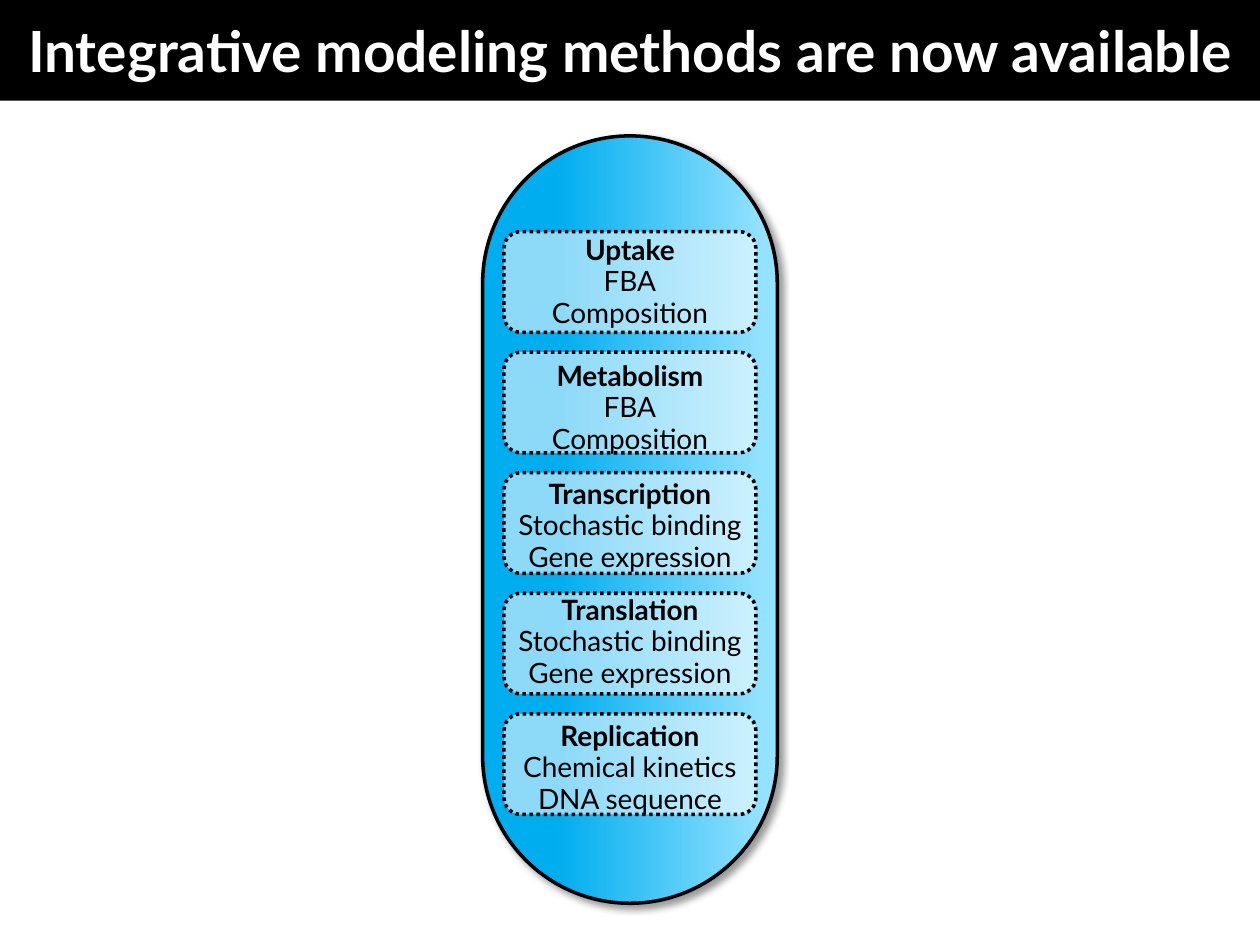
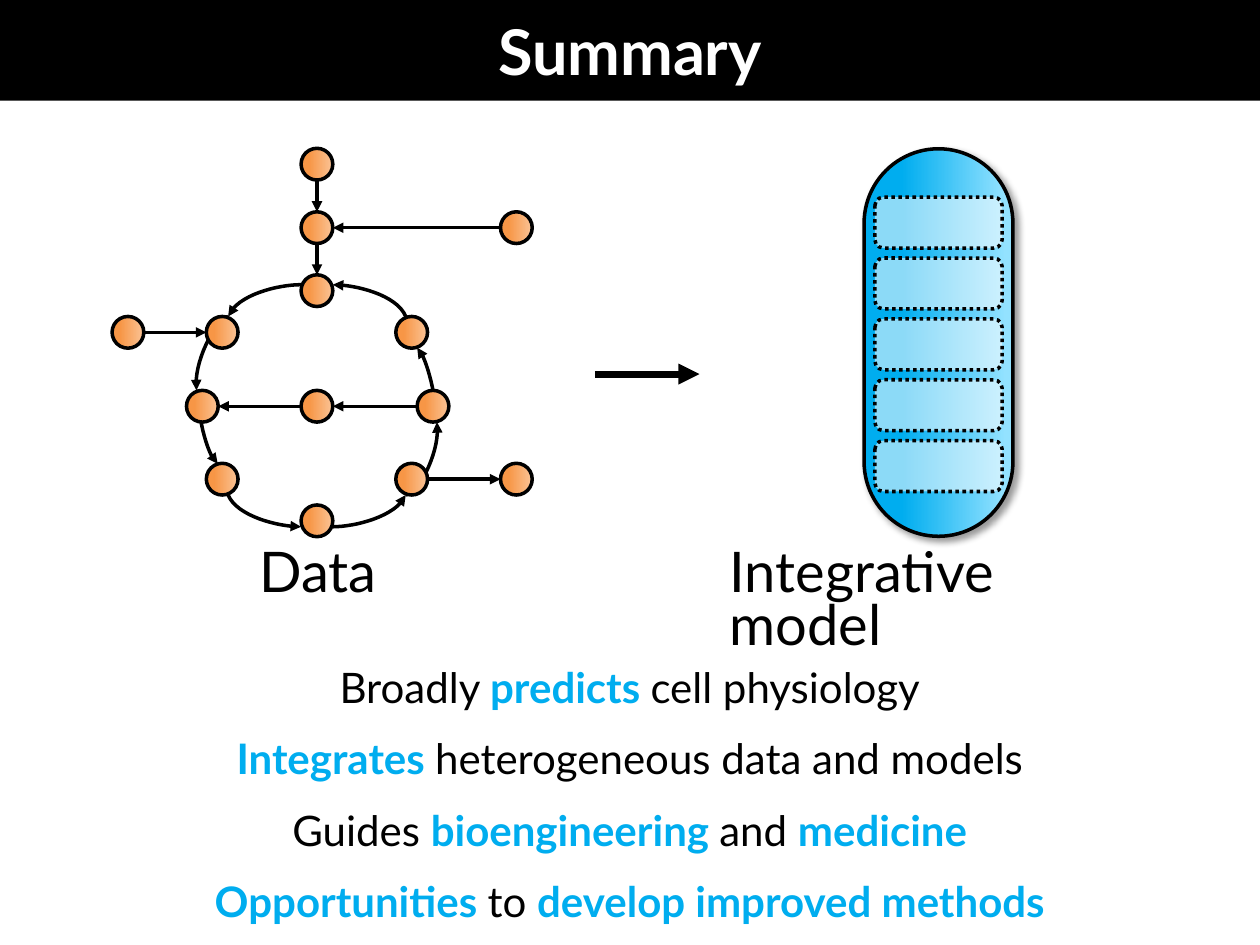
from lxml.etree import SubElement
from pptx import Presentation
from pptx.dml.color import RGBColor
from pptx.enum.dml import MSO_LINE
from pptx.enum.shapes import MSO_CONNECTOR, MSO_SHAPE
from pptx.enum.text import MSO_ANCHOR, PP_ALIGN
from pptx.oxml.ns import qn
from pptx.util import Cm, Pt

FONT = "Lato"
COLORS = {
    "black": "000000",
    "white": "FFFFFF",
    "blue": "00ADEF",
    "pale_blue": "93E2FF",
    "orange": "F79646",
    "pale_orange": "FAC090",
}
PAGE_WIDTH, PAGE_HEIGHT, BAND_HEIGHT = 25.4, 19.05, 2.03

METHODS_TITLE = ("Integrative modeling methods are now available", 32.4)
MODULES = [
    (4.6, ["Uptake", "FBA", "Composition"]),
    (7.14, ["Metabolism", "FBA", "Composition"]),
    (9.52, ["Transcription", "Stochastic binding", "Gene expression"]),
    (11.86, ["Translation", "Stochastic binding", "Gene expression"]),
    (14.4, ["Replication", "Chemical kinetics", "DNA sequence"]),
]

SUMMARY_TITLE = ("Summary", 36)
CAPTIONS = [("Data", 5.23, 2.6), ("Integrative model", 14.71, 8.2)]
SUMMARY = [
    [("Broadly ", False), ("predicts ", True), ("cell physiology", False)],
    [("Integrates ", True), ("heterogeneous data and models", False)],
    [("Guides ", False), ("bioengineering ", True), ("and ", False), ("medicine", True)],
    [("Opportunities ", True), ("to ", False), ("develop improved methods", True)],
]

NODE_SIZE = 0.64
NODES = {
    "inlet": (6.39, 3.31),
    "junction": (6.39, 4.59),
    "side inlet": (10.41, 4.59),
    "ring top": (6.39, 5.86),
    "left inlet": (2.58, 6.7),
    "upper left": (4.48, 6.7),
    "upper right": (8.3, 6.7),
    "left": (4.08, 8.19),
    "center": (6.39, 8.19),
    "right": (8.73, 8.19),
    "lower left": (4.48, 9.66),
    "lower right": (8.3, 9.66),
    "outlet": (10.41, 9.66),
    "ring bottom": (6.39, 10.5),
}
STRAIGHT_ARROWS = [
    ("inlet", "junction"),
    ("junction", "ring top"),
    ("side inlet", "junction"),
    ("left inlet", "upper left"),
    ("right", "center"),
    ("center", "left"),
    ("lower right", "outlet"),
]
CURVED_ARROWS = [
    [(8.18, 6.38), (8.0, 5.94), (7.16, 5.74), (6.71, 5.74)],
    [(6.07, 5.74), (5.61, 5.74), (4.78, 5.94), (4.6, 6.38)],
    [(4.6, 9.98), (4.78, 10.41), (5.61, 10.62), (6.07, 10.62)],
    [(6.71, 10.62), (7.16, 10.62), (8.0, 10.41), (8.18, 9.98)],
    [(4.6, 6.38), (4.32, 6.48), (3.89, 7.32), (3.96, 7.87)],
    [(8.18, 9.98), (8.48, 9.91), (8.89, 9.04), (8.81, 8.51)],
    [(4.01, 7.87), (3.96, 8.41), (4.22, 9.27), (4.39, 9.35)],
    [(8.79, 8.51), (8.81, 7.95), (8.56, 7.11), (8.41, 7.01)],
]
CURVE_STEPS = 16

CELL_WIDTH, CELL_HEIGHT = 5.94, 15.47
MODULE_WIDTH, MODULE_HEIGHT = 5.08, 2.03
MODULE_TOP, MODULE_PITCH = 1.93, 2.43


def color(name):
    return RGBColor.from_string(COLORS[name])


def outline(shape, width=2):
    shape.line.color.rgb = color("black")
    shape.line.width = Pt(width)


def add_shape(page, preset, left, top, width, height):
    shape = page.shapes.add_shape(preset, Cm(left), Cm(top), Cm(width), Cm(height))
    shape.shadow.inherit = False
    return shape


def fill_gradient(shape, *names):
    shape.fill.gradient()
    shape.fill.gradient_angle = 0
    for stop, name, position in zip(shape.fill.gradient_stops, names, (0.25, 0.95)):
        stop.color.rgb = color(name)
        stop.position = position


def style_text(para, size, name="black", bold=False, align=PP_ALIGN.CENTER):
    para.alignment = align
    para.font.name = FONT
    para.font.size = Pt(size)
    para.font.bold = bold
    para.font.color.rgb = color(name)


def add_text_box(page, left, top, width, height):
    box = page.shapes.add_textbox(Cm(left), Cm(top), Cm(width), Cm(height))
    box.text_frame.word_wrap = True
    return box.text_frame


def clear_margins(frame):
    frame.margin_left = frame.margin_right = frame.margin_top = frame.margin_bottom = 0


def next_paragraph(frame, index):
    return frame.add_paragraph() if index else frame.paragraphs[0]


def add_page(deck, title, size):
    page = deck.slides.add_slide(deck.slide_layouts[6])
    band = add_shape(page, MSO_SHAPE.RECTANGLE, 0, 0, PAGE_WIDTH, BAND_HEIGHT)
    band.fill.solid()
    band.fill.fore_color.rgb = color("black")
    band.line.fill.background()
    frame = band.text_frame
    frame.word_wrap = True
    frame.vertical_anchor = MSO_ANCHOR.MIDDLE
    clear_margins(frame)
    frame.text = title
    style_text(frame.paragraphs[0], size, "white", True)
    return page


def add_cell(page, left, top, scale=1.0):
    cell = add_shape(page, MSO_SHAPE.ROUNDED_RECTANGLE, left, top,
                     CELL_WIDTH * scale, CELL_HEIGHT * scale)
    cell.adjustments[0] = 0.5
    fill_gradient(cell, "blue", "pale_blue")
    outline(cell)
    effects = cell._element.spPr.find(qn("a:effectLst"))
    shadow = SubElement(effects, qn("a:outerShdw"), blurRad=str(Pt(4)),
                        dist=str(Pt(3)), dir="2700000", algn="tl", rotWithShape="0")
    shade = SubElement(shadow, qn("a:srgbClr"), val=COLORS["black"])
    SubElement(shade, qn("a:alpha"), val="40000")

    module_left = left + (CELL_WIDTH - MODULE_WIDTH) / 2 * scale
    for index in range(len(MODULES)):
        module_top = top + (MODULE_TOP + index * MODULE_PITCH) * scale
        module = add_shape(page, MSO_SHAPE.ROUNDED_RECTANGLE, module_left, module_top,
                           MODULE_WIDTH * scale, MODULE_HEIGHT * scale)
        module.fill.solid()
        module.fill.fore_color.rgb = color("white")
        tint = module._element.spPr.find(".//" + qn("a:srgbClr"))
        SubElement(tint, qn("a:alpha"), val="55000")
        outline(module)
        module.line.dash_style = MSO_LINE.ROUND_DOT


def point_arrow(shape, width=2):
    outline(shape, width)
    SubElement(shape.line._get_or_add_ln(), qn("a:tailEnd"), type="triangle")


def add_straight_arrow(page, start, end, width=2):
    arrow = page.shapes.add_connector(MSO_CONNECTOR.STRAIGHT, *map(Cm, start + end))
    point_arrow(arrow, width)
    SubElement(arrow._element.spPr, qn("a:effectLst"))


def curve_point(controls, t):
    weights = ((1 - t) ** 3, 3 * t * (1 - t) ** 2, 3 * t ** 2 * (1 - t), t ** 3)
    return tuple(Cm(sum(w * p[axis] for w, p in zip(weights, controls))) for axis in (0, 1))


def add_curved_arrow(page, controls):
    points = [curve_point(controls, step / CURVE_STEPS) for step in range(CURVE_STEPS + 1)]
    builder = page.shapes.build_freeform(*points[0])
    builder.add_line_segments(points[1:], close=False)
    arrow = builder.convert_to_shape()
    arrow.shadow.inherit = False
    arrow.fill.background()
    point_arrow(arrow)


def node_edge(node, other):
    (x, y), (other_x, other_y) = NODES[node], NODES[other]
    reach = NODE_SIZE / 2 / max(abs(other_x - x), abs(other_y - y))
    return x + (other_x - x) * reach, y + (other_y - y) * reach


def add_network(page):
    for start, end in STRAIGHT_ARROWS:
        add_straight_arrow(page, node_edge(start, end), node_edge(end, start))
    for controls in CURVED_ARROWS:
        add_curved_arrow(page, controls)
    for x, y in NODES.values():
        node = add_shape(page, MSO_SHAPE.OVAL, x - NODE_SIZE / 2, y - NODE_SIZE / 2,
                         NODE_SIZE, NODE_SIZE)
        fill_gradient(node, "orange", "pale_orange")
        outline(node)


def build_methods(deck):
    page = add_page(deck, *METHODS_TITLE)
    add_cell(page, 9.73, 2.74)
    for top, lines in MODULES:
        frame = add_text_box(page, 9.9, top, 5.6, 2.2)
        for index, line in enumerate(lines):
            para = next_paragraph(frame, index)
            para.text = line
            para.line_spacing = Pt(18)
            style_text(para, 16, bold=index == 0)


def build_summary(deck):
    page = add_page(deck, *SUMMARY_TITLE)
    add_network(page)
    add_straight_arrow(page, (11.99, 7.54), (14.1, 7.54), 4)
    add_cell(page, 17.42, 3.0, 0.505)
    for caption, left, width in CAPTIONS:
        frame = add_text_box(page, left, 11.07, width, 1.14)
        clear_margins(frame)
        frame.text = caption
        para = frame.paragraphs[0]
        para.line_spacing = 0.8
        style_text(para, 32, align=PP_ALIGN.LEFT)
    frame = add_text_box(page, 2.79, 13.21, 19.81, 5.64)
    for index, parts in enumerate(SUMMARY):
        para = next_paragraph(frame, index)
        if index:
            para.space_before = Pt(12)
        style_text(para, 24)
        for text, strong in parts:
            span = para.add_run()
            span.text = text
            if strong:
                span.font.bold = True
                span.font.color.rgb = color("blue")


def main():
    deck = Presentation()
    deck.slide_width, deck.slide_height = Cm(PAGE_WIDTH), Cm(PAGE_HEIGHT)
    build_methods(deck)
    build_summary(deck)
    deck.save("out.pptx")


if __name__ == "__main__":
    main()
